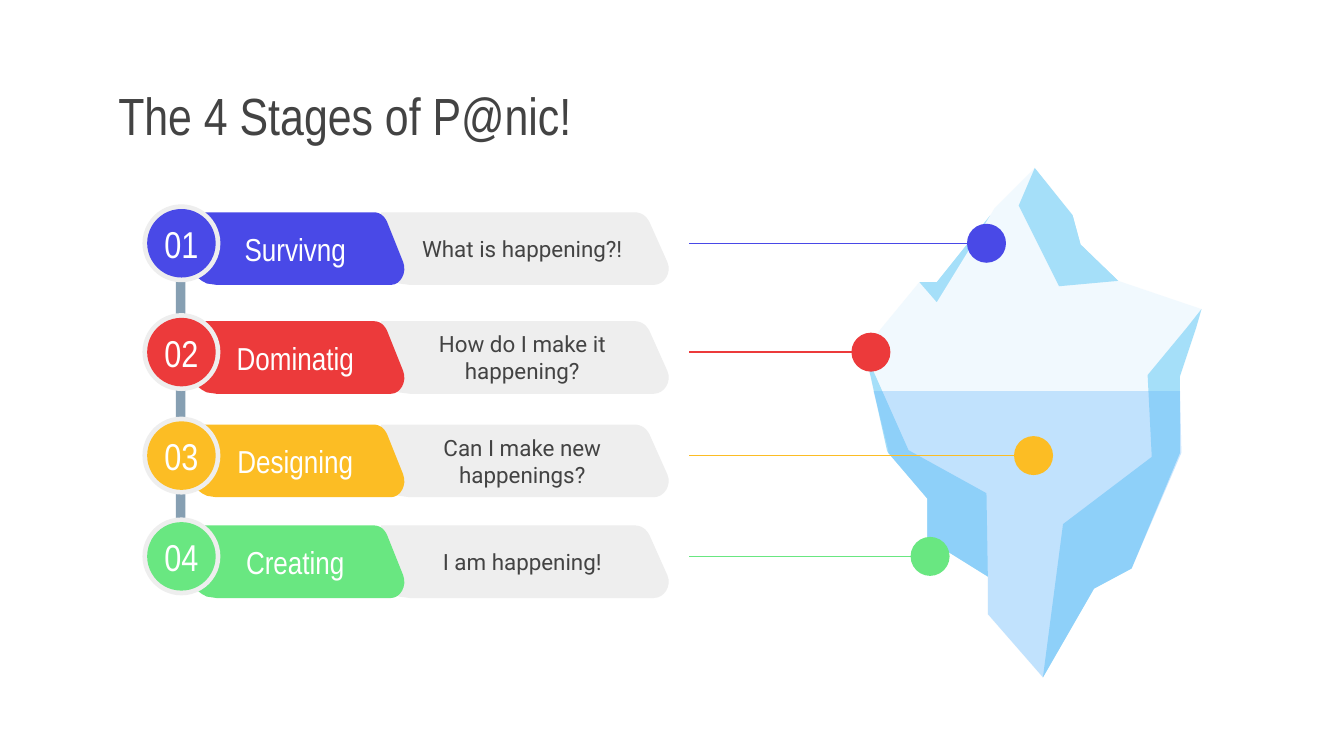
from lxml import etree
from pptx import Presentation
from pptx.dml.color import RGBColor
from pptx.enum.shapes import MSO_CONNECTOR, MSO_SHAPE
from pptx.enum.text import MSO_ANCHOR, PP_ALIGN
from pptx.oxml.ns import qn
from pptx.util import Inches, Pt

OVAL, RECTANGLE = MSO_SHAPE.OVAL, MSO_SHAPE.RECTANGLE
STRAIGHT = MSO_CONNECTOR.STRAIGHT
MIDDLE = MSO_ANCHOR.MIDDLE
LEFT, CENTER = PP_ALIGN.LEFT, PP_ALIGN.CENTER

HEADING_FONT, BODY_FONT = "Arial Narrow", "Roboto"
WHITE = RGBColor(0xFF, 0xFF, 0xFF)
INK = RGBColor(0x43, 0x43, 0x43)
PALE_GRAY = RGBColor(0xEE, 0xEE, 0xEE)
SPINE_GRAY = RGBColor(0x86, 0x9F, 0xB2)
BLUE = RGBColor(0x49, 0x49, 0xE7)
RED = RGBColor(0xEC, 0x3A, 0x3B)
YELLOW = RGBColor(0xFC, 0xBD, 0x24)
GREEN = RGBColor(0x69, 0xE7, 0x81)
SNOW = RGBColor(0xF1, 0xF9, 0xFE)
ICE = RGBColor(0xA5, 0xDF, 0xF9)
WATER = RGBColor(0x5E, 0xB2, 0xFC)

BADGE_X = 1.35
LINE_START = 5.13
TAB_HEIGHT = 0.54
CURVE_STEPS = 8

# Number, name, question, colour, centre height, marker centre
STAGES = [
    ("01", "Survivng", "What is happening?!", BLUE, 1.81, 7.34),
    ("02", "Dominatig", "How do I make it happening?", RED, 2.62, 6.48),
    ("03", "Designing", "Can I make new happenings?", YELLOW, 3.39, 7.69),
    ("04", "Creating", "I am happening!", GREEN, 4.14, 6.92),
]

ICEBERG_FACETS = [
    (ICE, [(7.37, 1.6), (6.97, 2.1), (6.84, 2.1), (6.91, 2.46), (7.27, 2.44)]),
    (SNOW, [(7.7, 1.25), (7.4, 1.55), (7.37, 1.6), (6.97, 2.25), (6.84, 2.1),
            (6.56, 2.44), (6.43, 2.61), (6.48, 2.81), (6.5, 2.91), (6.6, 3.35),
            (6.61, 3.37), (6.9, 3.71), (6.9, 4.01), (7.35, 4.29), (7.35, 4.57),
            (7.76, 5.04), (8.14, 4.38), (8.42, 4.23), (8.78, 3.37), (8.78, 2.8),
            (8.9, 2.44), (8.94, 2.3), (8.32, 2.09), (8.04, 1.82), (7.98, 1.6)]),
    (ICE, [(7.7, 1.25), (7.58, 1.53), (7.88, 2.13), (8.32, 2.09), (8.04, 1.82),
           (7.98, 1.6)]),
    (ICE, [(8.94, 2.3), (8.83, 2.44), (8.54, 2.79), (8.54, 2.81), (8.57, 3.4),
           (7.91, 3.9), (7.76, 5.04), (8.14, 4.38), (8.42, 4.23), (8.78, 3.37),
           (8.78, 2.8), (8.9, 2.44)]),
    (ICE, [(8.06, 4.21), (7.76, 5.04), (8.14, 4.38), (8.42, 4.23)]),
    (ICE, [(7.98, 1.6), (7.95, 1.77), (8.05, 1.97), (8.32, 2.09), (8.04, 1.82)]),
    (ICE, [(6.43, 2.61), (6.48, 2.81), (6.6, 3.35), (6.61, 3.37), (6.9, 3.71),
           (6.9, 4.01), (7.35, 4.29), (7.34, 3.67), (6.76, 3.35), (6.52, 2.81)]),
    (ICE, [(6.6, 3.35), (6.61, 3.37), (6.9, 3.71), (6.9, 4.01), (7.35, 4.29),
           (7.1, 4), (7.1, 3.67)]),
]
UNDERWATER = [(6.5, 2.91), (6.61, 3.35), (6.61, 3.37), (6.9, 3.71), (6.9, 4.01),
              (7.35, 4.29), (7.35, 4.57), (7.76, 5.04), (8.14, 4.38), (8.42, 4.23),
              (8.79, 3.37), (8.78, 2.91)]


def paint(shape, color, opacity=None):
    shape.shadow.inherit = False
    shape.fill.solid()
    shape.fill.fore_color.rgb = color
    shape.line.fill.background()
    if opacity is not None:
        tint = shape.fill._xPr.find(".//" + qn("a:srgbClr"))
        etree.SubElement(tint, qn("a:alpha"), val=str(opacity * 1000))


def write(shape, text, size, font=HEADING_FONT, color=WHITE, align=CENTER, inset=0.1):
    frame = shape.text_frame
    frame.word_wrap = True
    frame.vertical_anchor = MIDDLE
    frame.margin_left = frame.margin_right = Inches(inset)
    frame.margin_top = frame.margin_bottom = Inches(inset)
    para = frame.paragraphs[0]
    para.alignment = align
    span = para.add_run()
    span.text = text
    span.font.size = Pt(size)
    span.font.name = font
    span.font.color.rgb = color


def add_polygon(shapes, points, color, opacity=None):
    corners = [(Inches(x), Inches(y)) for x, y in points]
    builder = shapes.build_freeform(*corners[0])
    builder.add_line_segments(corners[1:], close=True)
    shape = builder.convert_to_shape()
    paint(shape, color, opacity)
    return shape


def add_circle(shapes, x, y, diameter, color):
    """Add a circle centred on x, y."""
    circle = shapes.add_shape(OVAL, Inches(x - diameter / 2), Inches(y - diameter / 2),
                              Inches(diameter), Inches(diameter))
    paint(circle, color)
    return circle


def curve(*controls):
    """Return points along a cubic Bezier curve."""
    points = []
    for step in range(CURVE_STEPS + 1):
        t = step / CURVE_STEPS
        weights = ((1 - t) ** 3, 3 * t * (1 - t) ** 2, 3 * t * t * (1 - t), t ** 3)
        points.append(tuple(sum(w * c[axis] for w, c in zip(weights, controls))
                            for axis in (0, 1)))
    return points


def add_tab(shapes, left, right, top, color, stretch=1):
    """Add a slanted tab; stretch widens its rounded corners."""
    def near_left(dx, dy):
        return left + dx * stretch, top + dy

    def near_right(dx, dy):
        return right - dx * stretch, top + dy

    points = [near_left(0.05, 0)]
    points += curve(near_left(0.02, 0.24), near_left(0, 0.37),
                    near_left(0.07, 0.49), near_left(0.17, 0.53))
    points += [near_left(0.24, TAB_HEIGHT)]
    points += curve(near_right(0.12, TAB_HEIGHT), near_right(0.05, TAB_HEIGHT),
                    near_right(0, 0.45), near_right(0.03, 0.37))
    points += curve(near_right(0.15, 0.07), near_right(0.17, 0.03),
                    near_right(0.2, 0), near_right(0.25, 0))
    return add_polygon(shapes, points, color)


def add_leader(shapes, start, end, y, color):
    leader = shapes.add_connector(STRAIGHT, Inches(start), Inches(y), Inches(end), Inches(y))
    leader.line.color.rgb = color
    leader.line.width = Pt(0.75)
    etree.SubElement(leader._element.spPr, qn("a:effectLst"))


def add_iceberg(page):
    shapes = page.shapes.add_group_shape().shapes
    for color, points in ICEBERG_FACETS:
        add_polygon(shapes, points, color)
    add_polygon(shapes, UNDERWATER, WATER, opacity=32)


def add_stage(page, number, name, question, color, y, marker_x):
    shapes = page.shapes.add_group_shape().shapes
    top = y - 0.23
    write(add_tab(shapes, 2.78, 5, top, PALE_GRAY, stretch=1.12), question, 12,
          font=BODY_FONT, color=INK)
    write(add_tab(shapes, 1.37, 3.03, top, color), name, 17)
    add_circle(shapes, BADGE_X, y, 0.58, PALE_GRAY)
    write(add_circle(shapes, BADGE_X, y, 0.51, color), number, 20, inset=0)
    add_leader(shapes, LINE_START, marker_x, y, color)
    add_circle(shapes, marker_x, y, 0.29, color)


def main():
    deck = Presentation()
    deck.slide_width = Inches(10)
    deck.slide_height = deck.slide_width * 9 // 16
    page = deck.slides.add_slide(deck.slide_layouts[5])

    title = page.shapes.title
    title.left, title.top = Inches(0.78), Inches(0.59)
    title.width, title.height = Inches(8.45), Inches(0.53)
    write(title, "The 4 Stages of P@nic!", 28, color=INK, align=LEFT)

    add_iceberg(page)
    spine = page.shapes.add_shape(RECTANGLE, Inches(1.31), Inches(1.83),
                                  Inches(0.07), Inches(2.51))
    paint(spine, SPINE_GRAY)
    for stage in STAGES:
        add_stage(page, *stage)
    deck.save("out.pptx")


if __name__ == "__main__":
    main()
